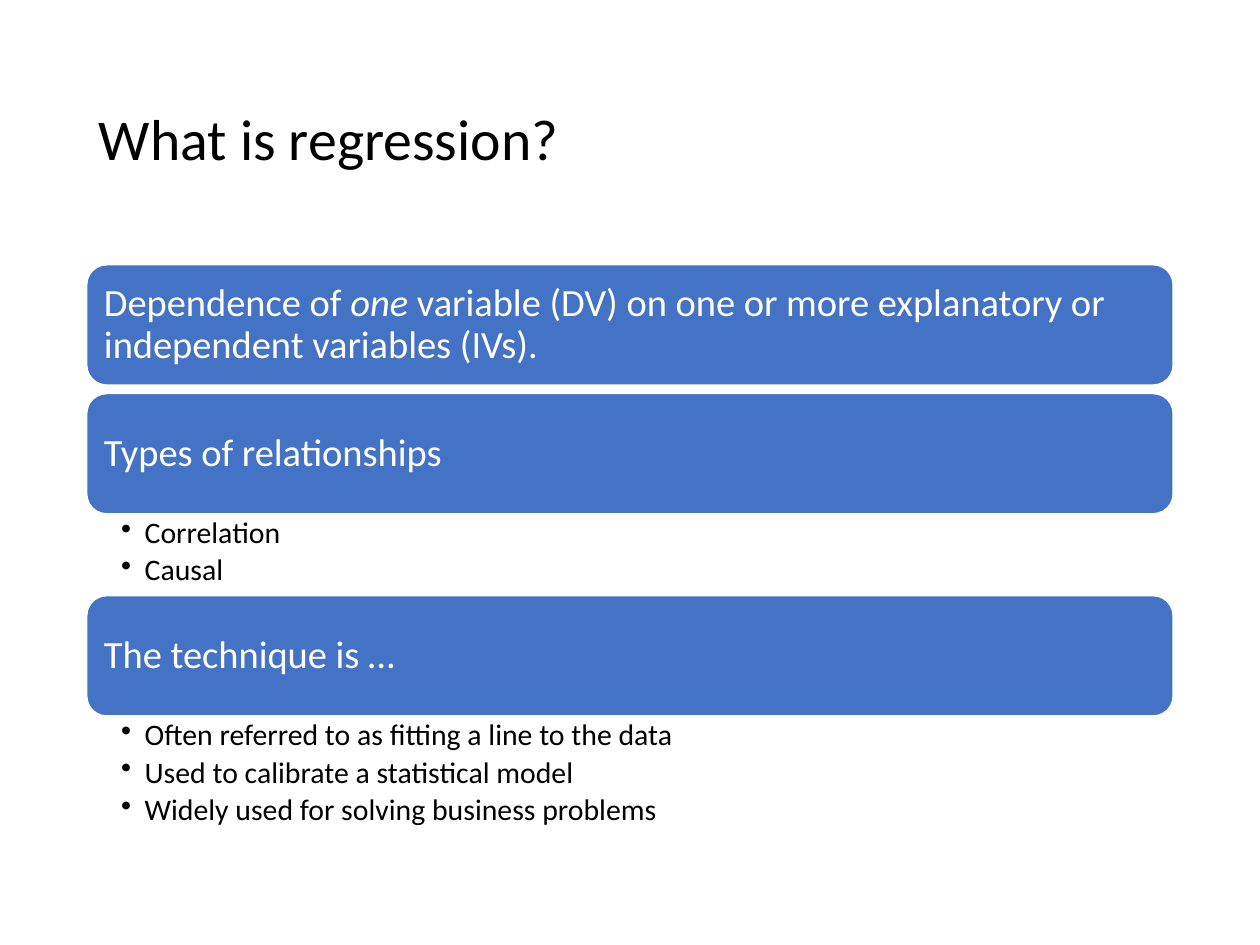
"""Build the slide that explains what regression is."""
from pptx import Presentation
from pptx.dml.color import RGBColor
from pptx.enum import shapes, text
from pptx.oxml import xmlchemy
from pptx.util import Pt

COLORS = {"bar": "4472C4", "white": "FFFFFF", "black": "000000"}
FONT = "Calibri"
BAR_H, ITEM_H, GAP = 68.9, 23.3, 4.7
TOPICS = [
    ([("Dependence of ", False), ("one", True),
      (" variable (DV) on one or more explanatory or independent variables (IVs).", False)], []),
    ([("Types of relationships", False)], ["Correlation", "Causal"]),
    ([("The technique is …", False)],
     ["Often referred to as fitting a line to the data",
      "Used to calibrate a statistical model",
      "Widely used for solving business problems"]),
]


def rgb(name):
    """Return the named colour."""
    return RGBColor.from_string(COLORS[name])


def set_frame(tf, anchor, left, top, right, bottom):
    """Set wrapping, anchor and margins of a text frame."""
    tf.word_wrap = True
    tf.vertical_anchor = anchor
    tf.margin_left, tf.margin_top = Pt(left), Pt(top)
    tf.margin_right, tf.margin_bottom = Pt(right), Pt(bottom)


def style_paragraph(p, size, color):
    """Align a paragraph left and format its runs."""
    p.alignment = text.PP_ALIGN.LEFT
    p.line_spacing = 0.9
    for r in p.runs:
        r.font.name, r.font.size = FONT, Pt(size)
        r.font.color.rgb = rgb(color)


def add_bullet(p, indent):
    """Give a paragraph a hanging round bullet."""
    pPr = p._p.get_or_add_pPr()
    pPr.set("marL", str(Pt(indent)))
    pPr.set("indent", str(-Pt(indent)))
    bullet = xmlchemy.OxmlElement("a:buChar")
    bullet.set("char", "•")
    pPr.append(bullet)


def add_title(s, x, y, w, h):
    """Place the slide title."""
    tf = s.shapes.add_textbox(Pt(x), Pt(y), Pt(w), Pt(h)).text_frame
    set_frame(tf, text.MSO_ANCHOR.MIDDLE, 7.2, 3.6, 7.2, 3.6)
    tf.text = "What is regression?"
    style_paragraph(tf.paragraphs[0], 33, "black")


def add_bar(s, runs, x, y, w, h):
    """Place a rounded bar with a topic heading."""
    sp = s.shapes.add_shape(shapes.MSO_SHAPE.ROUNDED_RECTANGLE, Pt(x), Pt(y), Pt(w), Pt(h))
    sp.shadow.inherit = False
    sp.fill.solid()
    sp.fill.fore_color.rgb = rgb("bar")
    sp.line.color.rgb = rgb("white")
    sp.line.width = Pt(1)
    set_frame(sp.text_frame, text.MSO_ANCHOR.MIDDLE, 6.6, 6.6, 6.6, 6.6)
    p = sp.text_frame.paragraphs[0]
    for words, italic in runs:
        r = p.add_run()
        r.text = words
        r.font.italic = italic
    style_paragraph(p, 22, "white")


def add_items(s, items, x, y, w, h):
    """Place the bulleted items below a bar."""
    tf = s.shapes.add_textbox(Pt(x), Pt(y), Pt(w), Pt(h)).text_frame
    set_frame(tf, text.MSO_ANCHOR.TOP, 19.7, 2.2, 12.2, 2.2)
    tf.text = "\n".join(items)
    for p in tf.paragraphs:
        style_paragraph(p, 17, "black")
        p.space_after = Pt(3)
        add_bullet(p, 13.5)


def add_topics(s, x, y, w):
    """Stack the bars and their items downwards."""
    for runs, items in TOPICS:
        add_bar(s, runs, x, y, w, BAR_H)
        y += BAR_H
        if items:
            h = ITEM_H * len(items)
            add_items(s, items, x, y, w, h)
            y += h
        else:
            y += GAP


def main():
    """Build and save the slide."""
    prs = Presentation()
    prs.slide_width, prs.slide_height = Pt(720), Pt(540)
    s = prs.slides.add_slide(prs.slide_layouts[6])
    add_title(s, 49.5, 28.75, 621, 104.4)
    add_topics(s, 49.5, 151.2, 621)
    prs.save("out.pptx")


if __name__ == "__main__":
    main()
